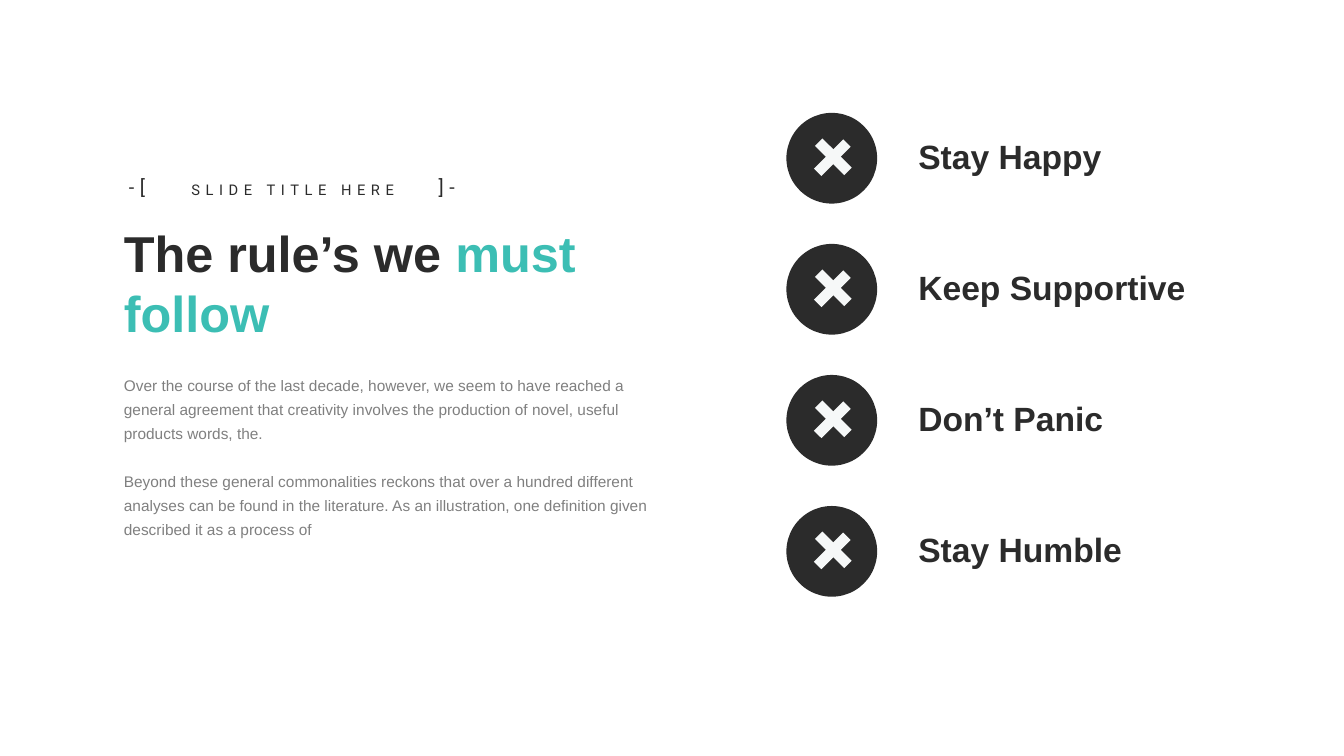
"""Build a slide with a heading, two paragraphs and four rules marked by crosses."""
from lxml.etree import SubElement
from pptx import Presentation
from pptx.dml.color import RGBColor
from pptx.enum.shapes import MSO_CONNECTOR, MSO_SHAPE
from pptx.enum.text import MSO_AUTO_SIZE, PP_ALIGN
from pptx.oxml.ns import qn
from pptx.util import Inches, Pt

COLORS = {"paper": "FFFFFF", "ink": "2B2B2B", "accent": "3CBEB4", "cross": "F6F8F8"}
CELL = Inches(0.1)
LEFT, TEXT_W = 11.3, 55.2
FIRST_ROW, ROW_PITCH, DISC = 11.2, 13, 9
DISC_X, RULE_X, RULE_W = 78, 90.1, 29
CROSS_STROKES = (((6, 3), (3.1, 5.9)), ((6.1, 5.8), (3.2, 2.9)))
RULES = ("Stay Happy", "Keep Supportive", "Don’t Panic", "Stay Humble")
BRACKET_PARTS = (
    ("SLIDE TITLE HERE", 17.6, 17.4, 22.9, 2.9, 10.5),
    ("-[", 11.3, 16.9, 4.6, 3.4, 14),
    ("]-", 42, 16.9, 4.6, 3.4, 14),
)
BODY = (
    "Over the course of the last decade, however, we seem to have reached a general "
    "agreement that creativity involves the production of novel, useful products words, the.",
    "Beyond these general commonalities reckons that over a hundred different analyses can be "
    "found in the literature. As an illustration, one definition given described it as a process of",
)


def grid(*cells):
    return [round(n * CELL) for n in cells]


def rgb(name):
    return RGBColor.from_string(COLORS[name])


def add_text(slide, box, paragraphs, size, font="Arial", bold=False, wrap=True):
    tf = slide.shapes.add_textbox(*grid(*box)).text_frame
    tf.word_wrap = wrap
    tf.auto_size = MSO_AUTO_SIZE.SHAPE_TO_FIT_TEXT
    tf.text = "\n".join(paragraphs)
    for p in tf.paragraphs:
        p.font.name, p.font.size, p.font.bold = font, Pt(size), bold
        p.font.color.rgb = rgb("ink")
    return tf


def add_bracket_part(slide, text, x, y, w, h, size):
    tf = add_text(slide, (x, y, w, h), [text], size, "Roboto", wrap=False)
    p = tf.paragraphs[0]
    p.alignment = PP_ALIGN.CENTER
    p.font._rPr.set("spc", "400")


def add_heading(slide):
    tf = add_text(slide, (LEFT, 21.5, TEXT_W, 13.1), ["The rule’s we "], 36, bold=True)
    r = tf.paragraphs[0].add_run()
    r.text = "must follow"
    r.font.color.rgb = rgb("accent")


def add_body(slide):
    tf = add_text(slide, (LEFT, 36.3, TEXT_W, 17.9), BODY, 11)
    for i, p in enumerate(tf.paragraphs):
        p.line_spacing = 1.3
        p.space_before = Pt(17 * i)
        color = next(p.font._rPr.iter(qn("a:srgbClr")))
        SubElement(color, qn("a:alpha"), val="60000")


def add_cross(slide, x, y):
    for (x1, y1), (x2, y2) in CROSS_STROKES:
        ends = grid(x + x1, y + y1, x + x2, y + y2)
        line = slide.shapes.add_connector(MSO_CONNECTOR.STRAIGHT, *ends)
        line.line.color.rgb = rgb("cross")
        line.line.width = Pt(7.5)
        SubElement(line._element.spPr, qn("a:effectLst"))


def add_rule(slide, row, text):
    y = FIRST_ROW + row * ROW_PITCH
    sp = slide.shapes.add_shape(MSO_SHAPE.OVAL, *grid(DISC_X, y, DISC, DISC))
    sp.shadow.inherit = False
    sp.fill.solid()
    sp.fill.fore_color.rgb = rgb("ink")
    sp.line.fill.background()
    add_cross(slide, DISC_X, y)
    add_text(slide, (RULE_X, y + 1.8, RULE_W, 5), [text], 24, bold=True)


def main():
    prs = Presentation()
    prs.slide_width, prs.slide_height = Inches(13.33), Inches(7.5)
    slide = prs.slides.add_slide(prs.slide_layouts[6])
    slide.background.fill.solid()
    slide.background.fill.fore_color.rgb = rgb("paper")
    for part in BRACKET_PARTS:
        add_bracket_part(slide, *part)
    add_heading(slide)
    add_body(slide)
    for row, text in enumerate(RULES):
        add_rule(slide, row, text)
    prs.save("out.pptx")


if __name__ == "__main__":
    main()
